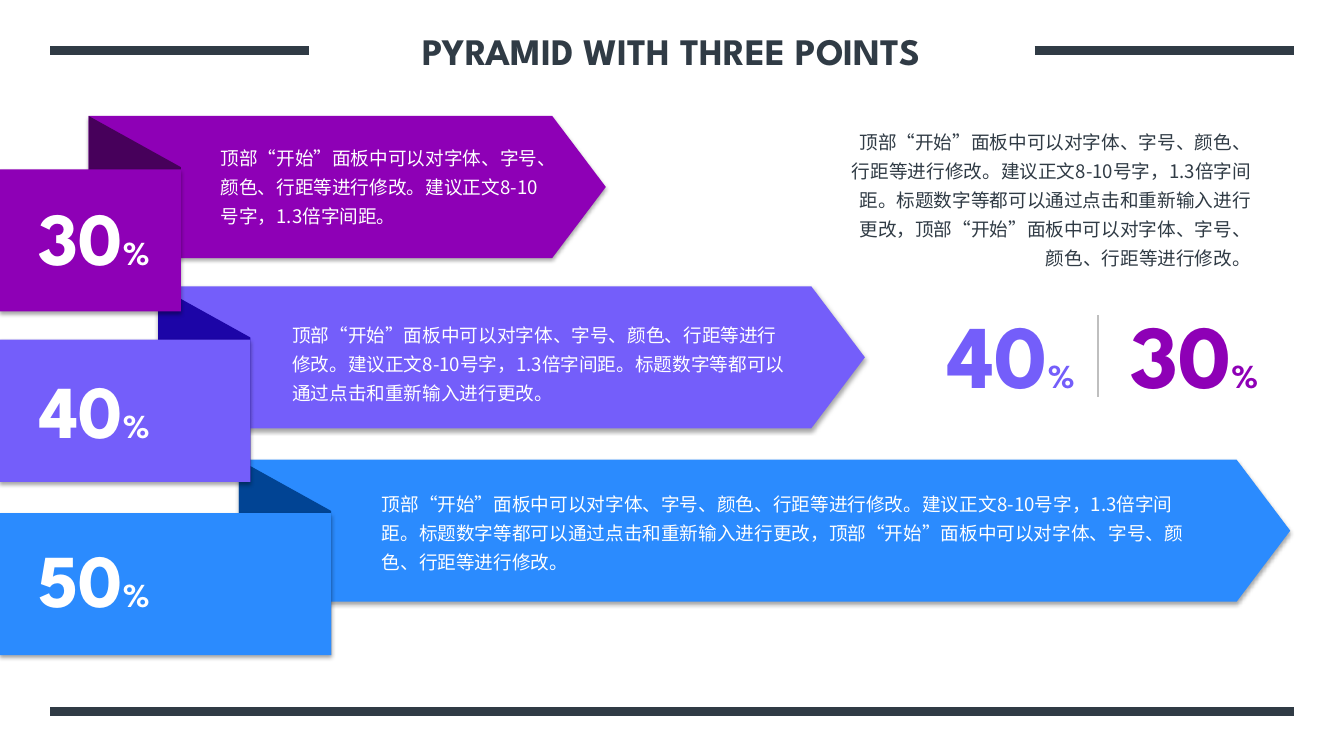
from dataclasses import dataclass
from lxml import etree
from pptx import Presentation, util as u
from pptx.dml.color import RGBColor
from pptx.enum import shapes, text
from pptx.oxml import parse_xml
from pptx.oxml.ns import nsdecls, qn

COLS, ROWS = 160, 90
WIDE, HIGH = u.Inches(13.33), u.Inches(7.5)
INK = dict(dark="303B45", white="FFFFFF", rule="BFBFBF", black="000000",
           plum="8E00B6", plumfold="47005B", iris="745EFA", irisfold="1C05A7",
           sky="2B8BFE", skyfold="014494")
LATIN, HAN = "League Spartan", "Noto Sans CJK SC"
KIND = shapes.MSO_SHAPE
ALIGN = text.PP_ALIGN
DEEP, DROP, FOLD, TALL = 16.92, 6.36, 10.98, 23.28

EDIT = "顶部“开始”面板中可以对字体、字号、颜色、行距等进行修改。"
SHORT = EDIT + "建议正文8-10号字，1.3倍字间距。"
MID = SHORT + "标题数字等都可以通过点击和重新输入进行更改"
LONG = MID + "，" + EDIT


@dataclass
class Box:
    left: float
    top: float
    wide: float
    high: float

    def place(self) -> tuple[int, int, int, int]:
        return (col(self.left), row(self.top), col(self.wide), row(self.high))


@dataclass
class Band:
    hue: str
    left: float
    top: float
    wide: float
    value: str
    mark: float
    note: Box
    words: str


@dataclass
class Stat:
    value: str
    hue: str
    size: float
    box: Box


@dataclass
class Rule:
    start: tuple[float, float]
    end: tuple[float, float]
    hue: str
    width: float


def col(n: float) -> int:
    return int(WIDE * n / COLS)


def row(n: float) -> int:
    return int(HIGH * n / ROWS)


def ink(name: str) -> RGBColor:
    return RGBColor.from_string(INK[name])


def apply(thing, form: dict) -> None:
    for key, value in form.items():
        setattr(thing, key, value)


def draw(kind, box: Box, hue: str, adj: float = 0, turn: int = 0, shade: bool = True) -> None:
    shape = page.shapes.add_shape(kind, *box.place())
    shape.shadow.inherit = False
    shape.fill.solid()
    shape.fill.fore_color.rgb = ink(hue)
    shape.line.fill.background()
    shape.rotation = turn
    if adj:
        shape.adjustments[0] = adj
    if shade:
        glow = shape._element.spPr.find(qn("a:effectLst"))
        glow.append(parse_xml(
            f'<a:outerShdw {nsdecls("a")} blurRad="{u.Pt(3.1)}" dist="{u.Pt(1.8)}" '
            f'dir="5400000" algn="t" rotWithShape="0"><a:srgbClr val="{INK["black"]}">'
            '<a:alpha val="35000"/></a:srgbClr></a:outerShdw>'))


def rule(line: Rule) -> None:
    (x, y), (right, base) = line.start, line.end
    wire = page.shapes.add_connector(shapes.MSO_CONNECTOR.STRAIGHT,
                                     col(x), row(y), col(right), row(base))
    wire.line.color.rgb = ink(line.hue)
    wire.line.width = u.Pt(line.width)
    etree.SubElement(wire._element.spPr, qn("a:effectLst"))


def write(box: Box, runs: list[tuple[str, float]], hue: str, face: str, bold: bool,
          wrap: bool, form: dict, fit=text.MSO_AUTO_SIZE.SHAPE_TO_FIT_TEXT) -> None:
    frame = page.shapes.add_textbox(*box.place()).text_frame
    apply(frame, dict(word_wrap=wrap, auto_size=fit))
    if fit == text.MSO_AUTO_SIZE.NONE:
        frame.vertical_anchor = text.MSO_ANCHOR.MIDDLE
    para = frame.paragraphs[0]
    apply(para, form)
    for words, size in runs:
        run = para.add_run()
        run.text = words
        apply(run.font, dict(name=face, size=u.Pt(size), bold=bold))
        run.font.color.rgb = ink(hue)
        etree.SubElement(run._r.get_or_add_rPr(), qn("a:ea"), typeface=face)


def ribbon(band: Band) -> None:
    draw(KIND.PENTAGON, Box(band.left, band.top, band.wide, DEEP), band.hue, 0.377)
    fold = Box(band.left + (FOLD - TALL) / 2, band.top + (TALL - FOLD) / 2, TALL, FOLD)
    draw(KIND.PARALLELOGRAM, fold, band.hue + "fold", 0.555, 270, False)
    draw(KIND.RECTANGLE, Box(0, band.top + DROP, band.left + FOLD, DEEP), band.hue)


def prose(box: Box, words: str, hue: str, align) -> None:
    write(box, [(words, 13.3)], hue, HAN, False, True,
          dict(alignment=align, line_spacing=1.3))


def figure(stat: Stat) -> None:
    write(stat.box, [(stat.value, stat.size), ("%", 24)], stat.hue, LATIN, True, False,
          dict(alignment=ALIGN.RIGHT))


BANDS = [
    Band("sky", 28.44, 54.72, 125.16, "50", 62.88, Box(44.28, 57.24, 98.16, 11.76), LONG),
    Band("iris", 18.84, 34.08, 84.12, "40", 42.72, Box(33.6, 37.2, 61.56, 11.76), MID + "。"),
    Band("plum", 10.56, 13.8, 61.56, "30", 22.08, Box(25.08, 16.08, 40.44, 11.76), SHORT),
]
STATS = [Stat(b.value, "white", 53.3, Box(3, b.mark, 16, 12)) for b in BANDS] + [
    Stat("30", "plum", 64, Box(132.96, 35.04, 18, 14.16)),
    Stat("40", "iris", 64, Box(111.12, 35.04, 18, 14.16)),
]
RULES = [
    Rule((6, 6), (36.84, 6), "dark", 6),
    Rule((123.16, 6), (154, 6), "dark", 6),
    Rule((6, 84.72), (154, 84.72), "dark", 6),
    Rule((130.7, 37.56), (130.7, 47.28), "rule", 1),
]

deck = Presentation()
apply(deck, dict(slide_width=WIDE, slide_height=HIGH))
page = deck.slides.add_slide(deck.slide_layouts[6])

for line in RULES:
    rule(line)
write(Box(36.84, 2.4, 86.32, 7.2), [("PYRAMID WITH THREE POINTS", 26.7)], "dark", LATIN,
      True, True, dict(alignment=ALIGN.CENTER), text.MSO_AUTO_SIZE.NONE)
for band in BANDS:
    ribbon(band)
for stat in STATS:
    figure(stat)
for band in BANDS:
    prose(band.note, band.words, "white", ALIGN.LEFT)
prose(Box(99.12, 14.16, 51, 18.72), LONG, "dark", ALIGN.RIGHT)

deck.save("out.pptx")
